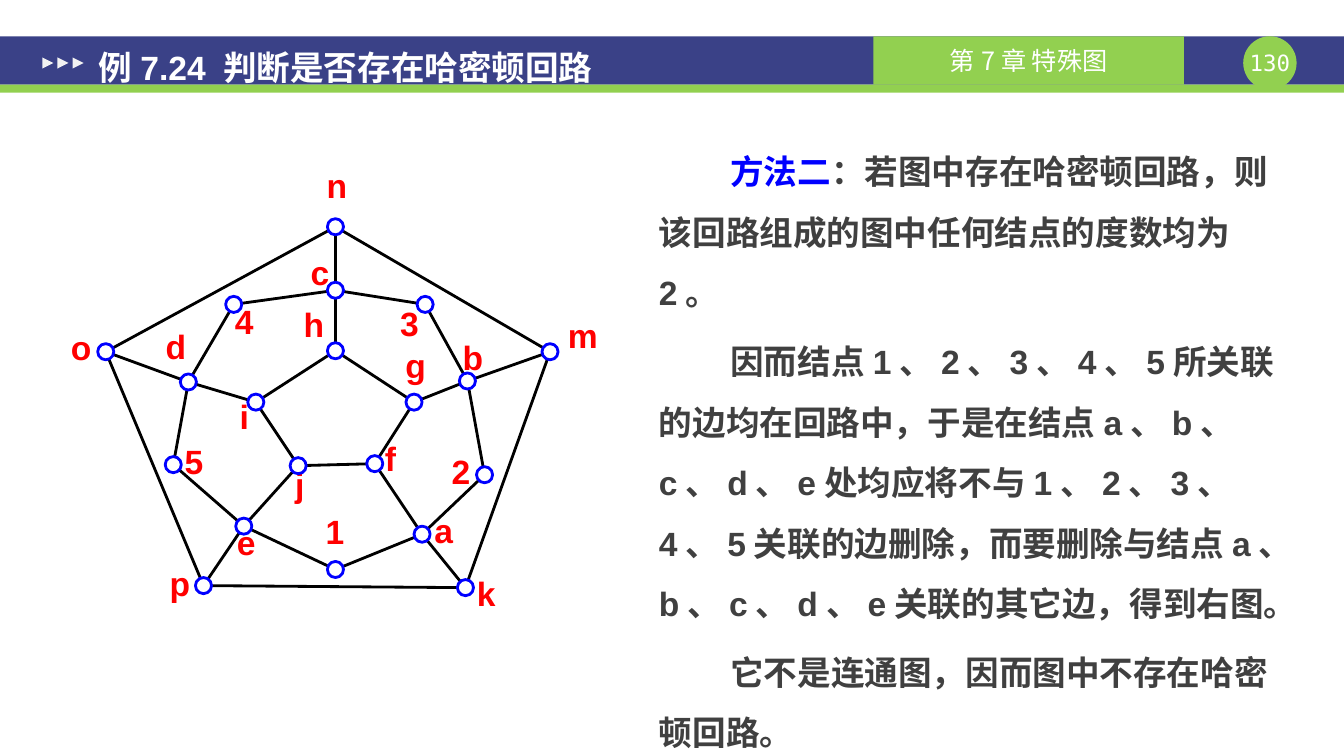
from math import hypot

from lxml import etree
from pptx import Presentation
from pptx.dml.color import RGBColor
from pptx.enum.shapes import MSO_CONNECTOR, MSO_SHAPE
from pptx.enum.text import MSO_ANCHOR, MSO_AUTO_SIZE, PP_ALIGN
from pptx.oxml.ns import qn
from pptx.util import Emu, Pt

STRAIGHT = MSO_CONNECTOR.STRAIGHT
RECT, OVAL, TRIANGLE = MSO_SHAPE.RECTANGLE, MSO_SHAPE.OVAL, MSO_SHAPE.ISOSCELES_TRIANGLE
TOP, MIDDLE = MSO_ANCHOR.TOP, MSO_ANCHOR.MIDDLE
LEFT, CENTER = PP_ALIGN.LEFT, PP_ALIGN.CENTER
NO_AUTOFIT = MSO_AUTO_SIZE.NONE

EMU_PER_PX = 9144  # 100 px to the inch
NODE_RADIUS = 8
LABEL_SIZE = (27, 40)

COLORS = {
    "navy": "3A4187", "green": "92D050", "white": "FFFFFF", "arrow": "F2F2F2",
    "edge": "000000", "ring": "0000FF", "label": "FF0000",
    "body": "404040", "method": "0000FF",
}

# Vertex: centre x, centre y, label left, label top
VERTICES = {
    "n": (333, 225, 321, 164), "m": (546, 349, 565, 312),
    "k": (462, 583, 469, 568), "p": (202, 581, 165, 558),
    "o": (105, 349, 67, 324),
    "a": (419, 530, 427, 506), "b": (464, 378, 456, 334),
    "c": (333, 288, 304, 250), "d": (187, 379, 161, 323),
    "e": (242, 522, 231, 518),
    "1": (333, 565, 319, 507), "2": (481, 471, 444, 447),
    "3": (422, 302, 393, 301), "4": (232, 302, 229, 299),
    "5": (172, 461, 179, 437),
    "f": (372, 460, 374, 434), "g": (411, 399, 399, 342),
    "h": (333, 348, 298, 302), "i": (254, 399, 229, 393),
    "j": (296, 462, 284, 460),
}
EDGES = ("nm mk kp po on "  # outer pentagon
         "a1 1e e5 5d d4 4c c3 3b b2 2a "  # middle ring
         "fg gh hi ij jf "  # inner pentagon
         "nc mb ka pe od ch bg af ej di").split()  # spokes

TITLE = "例7.24 判断是否存在哈密顿回路"
CHAPTER = "第7章 特殊图"
PROOF = [
    [("方法二", "method"),
     ("：若图中存在哈密顿回路，则该回路组成的图中任何结点的度数均为2。", "body")],
    [("因而结点1、2、3、4、5所关联的边均在回路中，于是在结点a、b、c、d、e处"
      "均应将不与1、2、3、4、5关联的边删除，而要删除与结点a、b、c、d、e"
      "关联的其它边，得到右图。", "body")],
    [("它不是连通图，因而图中不存在哈密顿回路。", "body")],
]


def px(value):
    return Emu(round(value * EMU_PER_PX))


def rgb(name):
    return RGBColor.from_string(COLORS[name])


def place(shape, left, top, width, height):
    shape.left, shape.top = px(left), px(top)
    shape.width, shape.height = px(width), px(height)


def set_frame(frame, anchor, left=0, top=0, right=0, bottom=0, wrap=True):
    frame.word_wrap = wrap
    frame.auto_size = NO_AUTOFIT
    frame.vertical_anchor = anchor
    frame.margin_left, frame.margin_top = px(left), px(top)
    frame.margin_right, frame.margin_bottom = px(right), px(bottom)


def style(paragraph, font_name, size, color=None, bold=False, align=LEFT):
    paragraph.alignment = align
    font = paragraph.font
    font.name, font.size, font.bold = font_name, Pt(size), bold
    if color:
        font.color.rgb = rgb(color)


def add_block(slide, kind, left, top, width, height, fill, ring=None):
    block = slide.shapes.add_shape(kind, px(left), px(top), px(width), px(height))
    block.shadow.inherit = False
    block.fill.solid()
    block.fill.fore_color.rgb = rgb(fill)
    if ring:
        block.line.color.rgb = rgb(ring)
        block.line.width = Pt(2)
    else:
        block.line.fill.background()
    return block


def write_centered(shape, text, font_name, size, color, bold=False):
    """Write one centred line that never wraps."""
    set_frame(shape.text_frame, MIDDLE, wrap=False)
    paragraph = shape.text_frame.paragraphs[0]
    paragraph.text = text
    style(paragraph, font_name, size, color, bold, CENTER)


def add_edge(slide, start, end):
    """Join two vertices from rim to rim."""
    (x1, y1), (x2, y2) = VERTICES[start][:2], VERTICES[end][:2]
    trim = NODE_RADIUS / hypot(x2 - x1, y2 - y1)
    dx, dy = (x2 - x1) * trim, (y2 - y1) * trim
    edge = slide.shapes.add_connector(
        STRAIGHT, px(x1 + dx), px(y1 + dy), px(x2 - dx), px(y2 - dy))
    edge.line.color.rgb = rgb("edge")
    edge.line.width = Pt(2)
    etree.SubElement(edge.element.spPr, qn("a:effectLst"))


def add_label(slide, name):
    left, top = VERTICES[name][2:]
    label = slide.shapes.add_textbox(px(left), px(top), *map(px, LABEL_SIZE))
    write_centered(label, name, "Arial", 24, "label", True)


def add_vertex(slide, name):
    x, y = VERTICES[name][:2]
    add_block(slide, OVAL, x - NODE_RADIUS, y - NODE_RADIUS,
              2 * NODE_RADIUS, 2 * NODE_RADIUS, "white", "ring")


def draw_header(slide):
    add_block(slide, RECT, 0, 36, 1334, 48, "navy")
    add_block(slide, RECT, 0, 84, 1334, 8, "green")
    page = add_block(slide, OVAL, 1234, 36, 53, 53, "green")
    write_centered(page, "130", "DejaVu Sans Mono", 16, "white")
    chapter = add_block(slide, RECT, 867, 36, 308, 48, "green")
    write_centered(chapter, CHAPTER, "Noto Sans CJK SC", 18, "white")
    for index in range(3):
        arrow = add_block(slide, TRIANGLE, 42 + 15 * index, 57, 11, 11, "arrow")
        arrow.rotation = 90


def fill_title(slide):
    title = slide.shapes.title
    place(title, 85, 30, 777, 47)
    set_frame(title.text_frame, TOP, left=13, top=17, right=13)
    paragraph = title.text_frame.paragraphs[0]
    paragraph.text = TITLE
    style(paragraph, "Arial", 24, "white", True)
    slide.shapes.element.append(title.element)  # in front of the header bar


def fill_proof(slide):
    proof = slide.placeholders[1]
    place(proof, 641, 123, 659, 577)
    frame = proof.text_frame
    set_frame(frame, TOP, 13, 7, 13, 7)
    for index, parts in enumerate(PROOF):
        paragraph = frame.add_paragraph() if index else frame.paragraphs[0]
        properties = paragraph._p.get_or_add_pPr()
        properties.set("marL", "0")
        properties.set("indent", str(px(71)))
        etree.SubElement(properties, qn("a:buNone"))
        paragraph.line_spacing = 1.5
        paragraph.space_before = Pt(6 if index else 0)
        style(paragraph, "Arial", 24, bold=True)
        for text, color in parts:
            run = paragraph.add_run()
            run.text = text
            run.font.color.rgb = rgb(color)


def main():
    deck = Presentation()
    deck.slide_width, deck.slide_height = px(1334), px(750)
    slide = deck.slides.add_slide(deck.slide_layouts[1])

    # Header and text
    draw_header(slide)
    fill_title(slide)
    fill_proof(slide)

    # Graph: edges, then labels, then vertices on top
    for start, end in EDGES:
        add_edge(slide, start, end)
    for name in VERTICES:
        add_label(slide, name)
    for name in VERTICES:
        add_vertex(slide, name)

    deck.save("out.pptx")


if __name__ == "__main__":
    main()
